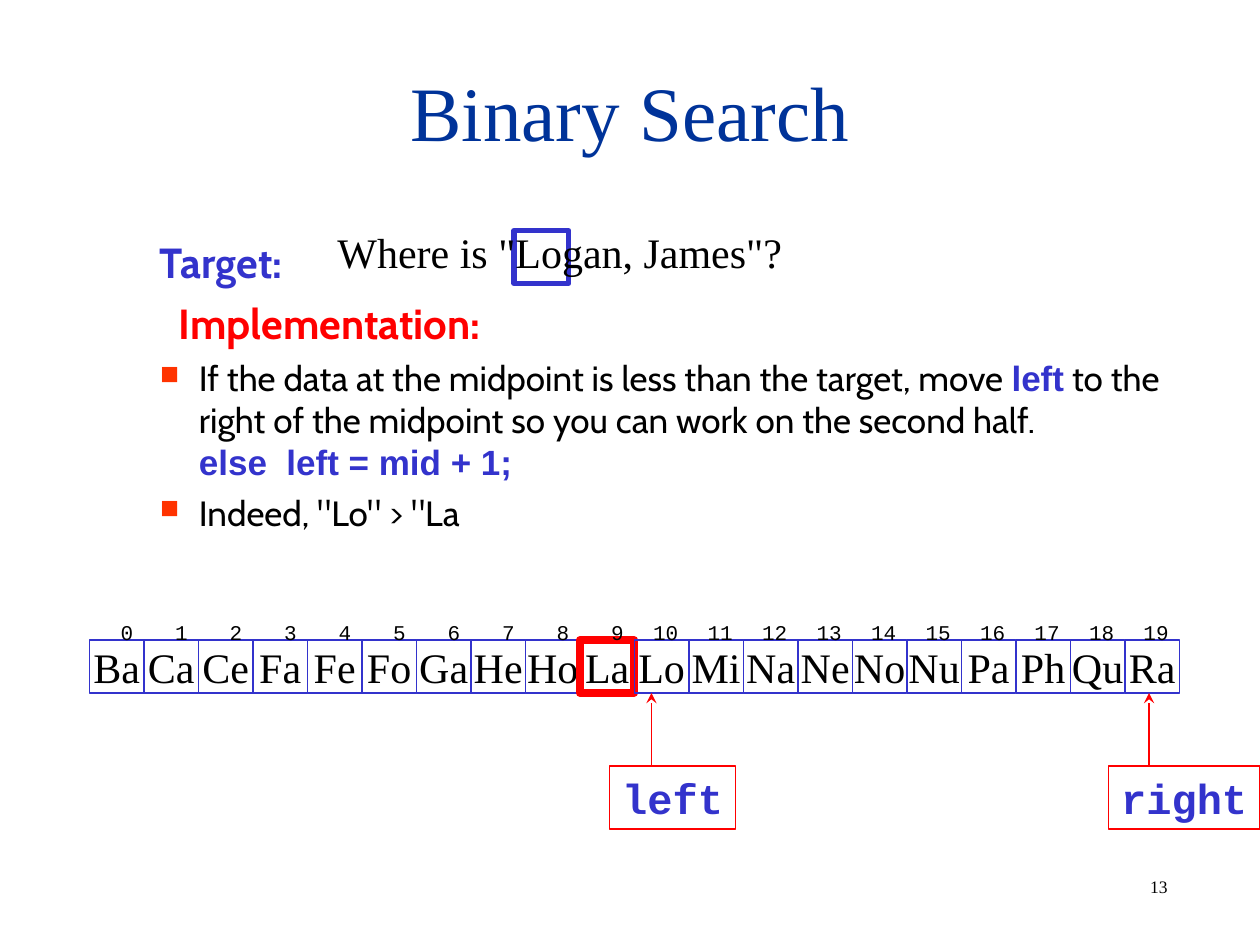
import lxml.etree
import pptx
import pptx.dml.color
import pptx.enum.shapes
import pptx.enum.text
import pptx.oxml.ns
import pptx.util
from dataclasses import dataclass

Inches = pptx.util.Inches
Pt = pptx.util.Pt
ALIGN = pptx.enum.text.PP_ALIGN
ANCHOR = pptx.enum.text.MSO_ANCHOR


@dataclass(frozen=True)
class Theme:
    serif: str = "Times New Roman"
    sans: str = "Cabin"
    keyword: str = "Arial"
    mono: str = "Courier New"
    navy: str = "003399"
    blue: str = "3333CC"
    red: str = "FF0000"
    bullet: str = "FF3300"
    black: str = "000000"
    title_size: int = 44
    large: int = 24
    medium: int = 20
    index_size: int = 12
    number_size: int = 10


THEME = Theme()
TITLE = "Binary Search"
QUESTION = 'Where is "Logan, James"?'
PAGE_NUMBER = "13"
# Headings: text, colour, shift from the common left edge
HEADINGS = [("Target:", THEME.blue, 0), ("Implementation:", THEME.red, 0.15)]
# Bullets: runs of (text, is keyword); None is a line break
BULLETS = [
    [
        ("If the data at the midpoint is less than the target, move ", False),
        ("left", True),
        (" to the right of the midpoint so you can work on the second half.", False),
        None,
        ("else  left = mid + 1;", True),
    ],
    [('Indeed, "Lo" > "La', False)],
]
NAMES = "Ba Ca Ce Fa Fe Fo Ga He Ho La Lo Mi Na Ne No Nu Pa Ph Qu Ra".split()
MIDPOINT = "La"
# Pointers: label, box left, box width, arrow x
POINTERS = [("left", 4.84, 1.0, 5.17), ("right", 8.8, 1.2, 9.12)]

CELL_LEFT, CELL_TOP, CELL_HEIGHT = 0.71, 5.08, 0.42
CELL_PITCH = 8.65 / len(NAMES)
POINTER_TOP, POINTER_HEIGHT = 6.08, 0.5
TEXT_INDENT, HANGING = 0.81, 0.31


def rgb(value):
    return pptx.dml.color.RGBColor.from_string(value)


def add_xml(parent, tag, **attributes):
    return lxml.etree.SubElement(parent, pptx.oxml.ns.qn(tag), attributes)


def style_run(run, font, size, color, bold=False):
    run.font.name = font
    run.font.size = Pt(size)
    run.font.color.rgb = rgb(color)
    run.font.bold = bold


def set_text(shape, text, font, size, color, bold=False, align=ALIGN.LEFT,
             anchor=ANCHOR.TOP, wrap=False):
    frame = shape.text_frame
    frame.text = text
    frame.word_wrap = wrap
    frame.vertical_anchor = anchor
    paragraph = frame.paragraphs[0]
    paragraph.alignment = align
    for run in paragraph.runs:
        style_run(run, font, size, color, bold)
    return paragraph


def add_textbox(slide, left, top, width, height):
    return slide.shapes.add_textbox(
        Inches(left), Inches(top), Inches(width), Inches(height))


def add_box(slide, left, top, width, height, color, weight):
    """Add an unfilled outlined rectangle."""
    box = slide.shapes.add_shape(
        pptx.enum.shapes.MSO_SHAPE.RECTANGLE,
        Inches(left), Inches(top), Inches(width), Inches(height))
    box.shadow.inherit = False
    box.fill.background()
    box.line.color.rgb = rgb(color)
    box.line.width = Pt(weight)
    return box


def set_indent(paragraph, left, first_line):
    properties = paragraph._p.get_or_add_pPr()
    properties.set("marL", str(Inches(left)))
    properties.set("indent", str(Inches(first_line)))
    return properties


def add_body(slide):
    frame = add_textbox(slide, 0.67, 1.83, 8.75, 4.5).text_frame
    frame.word_wrap = True
    paragraphs = [frame.paragraphs[0]]
    paragraphs += [frame.add_paragraph() for _ in HEADINGS[1:] + BULLETS]

    for paragraph, (text, color, shift) in zip(paragraphs, HEADINGS):
        paragraph.text = text
        paragraph.space_before = Pt(6)
        set_indent(paragraph, TEXT_INDENT, shift - HANGING)
        style_run(paragraph.runs[0], THEME.sans, THEME.large, color, True)

    for paragraph, pieces in zip(paragraphs[len(HEADINGS):], BULLETS):
        paragraph.space_before = Pt(5)
        properties = set_indent(paragraph, TEXT_INDENT, -HANGING)
        bullet_color = add_xml(properties, "a:buClr")
        add_xml(bullet_color, "a:srgbClr", val=THEME.bullet)
        add_xml(properties, "a:buSzPct", val="75000")
        add_xml(properties, "a:buChar", char="■")
        for piece in pieces:
            if piece is None:
                paragraph.add_line_break()
                continue
            text, is_keyword = piece
            run = paragraph.add_run()
            run.text = text
            font, color = ((THEME.keyword, THEME.blue) if is_keyword
                           else (THEME.sans, THEME.black))
            style_run(run, font, THEME.medium, color, is_keyword)


def add_cells(slide):
    for index, name in enumerate(NAMES):
        color, weight = (THEME.red, 4.5) if name == MIDPOINT else (THEME.blue, 0.75)
        cell = add_box(slide, CELL_LEFT + index * CELL_PITCH, CELL_TOP,
                       CELL_PITCH, CELL_HEIGHT, color, weight)
        set_text(cell, name, THEME.serif, THEME.large, THEME.black,
                 align=ALIGN.CENTER, anchor=ANCHOR.MIDDLE)


def add_indexes(slide):
    """Add the index row, each number right-aligned on a tab stop per cell."""
    row = add_textbox(slide, 0.86, 4.87, 8.6, 0.3)
    paragraph = set_text(row, "\t".join(str(i) for i in range(len(NAMES))),
                         THEME.mono, THEME.index_size, THEME.black, wrap=True)
    tabs = add_xml(paragraph._p.get_or_add_pPr(), "a:tabLst")
    for index in range(1, len(NAMES)):
        position = Inches(0.1 + index * CELL_PITCH)
        add_xml(tabs, "a:tab", pos=str(position), algn="r")


def add_pointer(slide, label, left, width, arrow_x):
    box = add_box(slide, left, POINTER_TOP, width, POINTER_HEIGHT, THEME.red, 0.75)
    set_text(box, label, THEME.mono, THEME.large, THEME.blue, True)
    arrow = slide.shapes.add_connector(
        pptx.enum.shapes.MSO_CONNECTOR.STRAIGHT,
        Inches(arrow_x), Inches(POINTER_TOP),
        Inches(arrow_x), Inches(CELL_TOP + CELL_HEIGHT))
    arrow.line.color.rgb = rgb(THEME.red)
    arrow.line.width = Pt(0.75)
    add_xml(arrow.line._get_or_add_ln(), "a:tailEnd", type="stealth")
    add_xml(arrow._element.spPr, "a:effectLst")


def main():
    presentation = pptx.Presentation()
    presentation.slide_width = Inches(10)
    presentation.slide_height = Inches(7.5)
    slide = presentation.slides.add_slide(presentation.slide_layouts[6])

    set_text(add_textbox(slide, 9.03, 6.9, 0.78, 0.27), PAGE_NUMBER,
             THEME.serif, THEME.number_size, THEME.black, wrap=True)
    set_text(add_textbox(slide, 0.75, 0.25, 8.5, 1.25), TITLE,
             THEME.serif, THEME.title_size, THEME.navy,
             align=ALIGN.CENTER, anchor=ANCHOR.MIDDLE, wrap=True)
    add_body(slide)
    add_box(slide, 4.08, 1.83, CELL_PITCH, CELL_HEIGHT, THEME.blue, 3)
    add_cells(slide)
    for pointer in POINTERS:
        add_pointer(slide, *pointer)
    add_indexes(slide)
    set_text(add_textbox(slide, 2.58, 1.75, 3.81, 0.5), QUESTION,
             THEME.serif, THEME.large, THEME.black, wrap=True)
    presentation.save("out.pptx")


if __name__ == "__main__":
    main()
